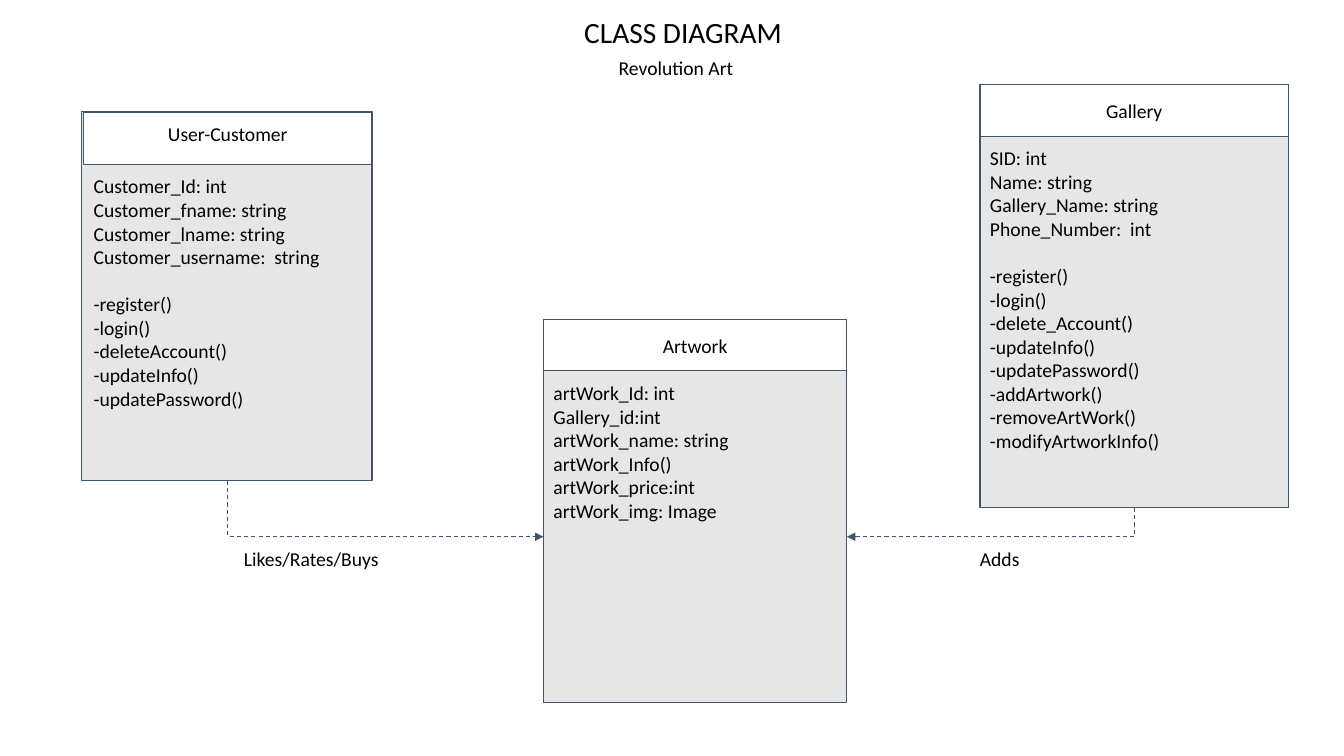
"""Build the class diagram slide."""
from lxml import etree
from pptx import Presentation, util as u
from pptx.dml.color import RGBColor
from pptx.enum import dml, shapes, text
from pptx.oxml.ns import qn

PX = u.Inches(1) // 100


def color(value):
    """Turn a hex string into a colour."""
    return RGBColor.from_string(value)


def write(shape, lines, size=14, align=text.PP_ALIGN.LEFT, gap_before=None,
          auto_size=text.MSO_AUTO_SIZE.NONE):
    """Fill a shape with one paragraph per line."""
    frame = shape.text_frame
    frame.word_wrap = True
    frame.auto_size = auto_size
    frame.vertical_anchor = text.MSO_ANCHOR.TOP
    frame.margin_left = frame.margin_right = 10 * PX
    frame.margin_top = frame.margin_bottom = 10 * PX
    for index, line in enumerate(lines):
        paragraph = frame.paragraphs[0] if index == 0 else frame.add_paragraph()
        paragraph.text = line
        paragraph.alignment = align
        paragraph.line_spacing = 1.0
        paragraph.space_before = u.Pt(17 if index and index == gap_before else 0)
        font = paragraph.font
        font.name, font.size = "Calibri", u.Pt(size)
        font.color.rgb = color("000000")


class Diagram:
    """Hold the diagram style and the current slide."""

    line, body, header = "44546A", "E7E6E6", "FFFFFF"
    header_height = 51

    def __init__(self, presentation):
        """Add a title-only slide."""
        self.slide = presentation.slides.add_slide(presentation.slide_layouts[5])

    def title(self, words, left, top, width, height):
        """Place and format the title."""
        title = self.slide.shapes.title
        title.left, title.top = left * PX, top * PX
        title.width, title.height = width * PX, height * PX
        write(title, [words], size=21, align=text.PP_ALIGN.CENTER)

    def label(self, lines, left, top, width, height=44, **style):
        """Add a text box."""
        box = self.slide.shapes.add_textbox(left * PX, top * PX, width * PX, height * PX)
        write(box, lines, **style)
        return box

    def rectangle(self, left, top, width, height, fill):
        """Add an outlined rectangle."""
        shape = self.slide.shapes.add_shape(
            shapes.MSO_SHAPE.RECTANGLE, left * PX, top * PX, width * PX, height * PX)
        shape.shadow.inherit = False
        shape.fill.solid()
        shape.fill.fore_color.rgb = color(fill)
        shape.line.color.rgb = color(self.line)
        shape.line.width = u.Pt(0.75)

    def class_box(self, name, fields, methods, left, top, width, height,
                  inset=(0, 0), name_drop=4):
        """Add a class with its name and members, and return the members box."""
        self.rectangle(left, top, width, height, self.body)
        bottom = top + height
        left, top, width = left + inset[0], top + inset[1], width - inset[0]
        self.rectangle(left, top, width, self.header_height, self.header)
        self.label([name], left, top + name_drop, width, align=text.PP_ALIGN.CENTER)
        top += self.header_height
        return self.label(fields + methods, left, top, width, bottom - top,
                          gap_before=len(fields))

    def relation(self, source, target, side):
        """Run a dashed arrow down from source and across to a side of target."""
        arrow = self.slide.shapes.add_connector(shapes.MSO_CONNECTOR.ELBOW, 0, 0, 0, 0)
        arrow.begin_connect(source, 2)
        arrow.end_connect(target, side)
        across = abs(arrow.end_x - arrow.begin_x)
        down = abs(arrow.end_y - arrow.begin_y)
        center_x = (arrow.begin_x + arrow.end_x) // 2
        center_y = (arrow.begin_y + arrow.end_y) // 2
        properties = arrow._element.spPr
        frame = properties.find(qn("a:xfrm"))
        for flip in ("flipH", "flipV"):
            frame.attrib.pop(flip, None)
        arrow.left, arrow.top = center_x - down // 2, center_y - across // 2
        arrow.width, arrow.height = down, across
        frame.set("rot", str((270 if side == 1 else 90) * 60000))
        if side == 1:
            frame.set("flipH", "1")
        properties.find(qn("a:prstGeom")).set("prst", "bentConnector2")
        arrow.line.color.rgb = color(self.line)
        arrow.line.width = u.Pt(0.75)
        arrow.line.dash_style = dml.MSO_LINE.DASH
        etree.SubElement(properties.find(qn("a:ln")), qn("a:tailEnd"), type="triangle")
        etree.SubElement(properties, qn("a:effectLst"))


def main():
    """Build and save the presentation."""
    presentation = Presentation()
    presentation.slide_width, presentation.slide_height = 1333 * PX, 750 * PX
    diagram = Diagram(presentation)
    diagram.title("CLASS DIAGRAM", 393, 4, 569, 56)
    diagram.label(["Revolution Art"], 386, 46, 569, align=text.PP_ALIGN.CENTER)

    gallery = diagram.class_box(
        "Gallery",
        ["SID: int", "Name: string", "Gallery_Name: string", "Phone_Number:  int"],
        ["-register()", "-login()", "-delete_Account()", "-updateInfo()",
         "-updatePassword()", "-addArtwork()", "-removeArtWork()",
         "-modifyArtworkInfo()"],
        972, 84, 306, 420)
    artwork = diagram.class_box(
        "Artwork",
        ["artWork_Id: int", "Gallery_id:int", "artWork_name: string",
         "artWork_Info()", "artWork_price:int", "artWork_img: Image"],
        [], 539, 317, 301, 380)
    customer = diagram.class_box(
        "User-Customer",
        ["Customer_Id: int", "Customer_fname: string", "Customer_lname: string",
         "Customer_username:  string"],
        ["-register()", "-login()", "-deleteAccount()", "-updateInfo()",
         "-updatePassword()"],
        81, 111, 288, 366, inset=(2, 1), name_drop=-1)

    diagram.relation(gallery, artwork, 3)
    diagram.relation(customer, artwork, 1)
    diagram.label(["Adds"], 962, 533, 100)
    diagram.label(["Likes/Rates/Buys"], 232, 533, 288)
    presentation.save("out.pptx")


if __name__ == "__main__":
    main()
